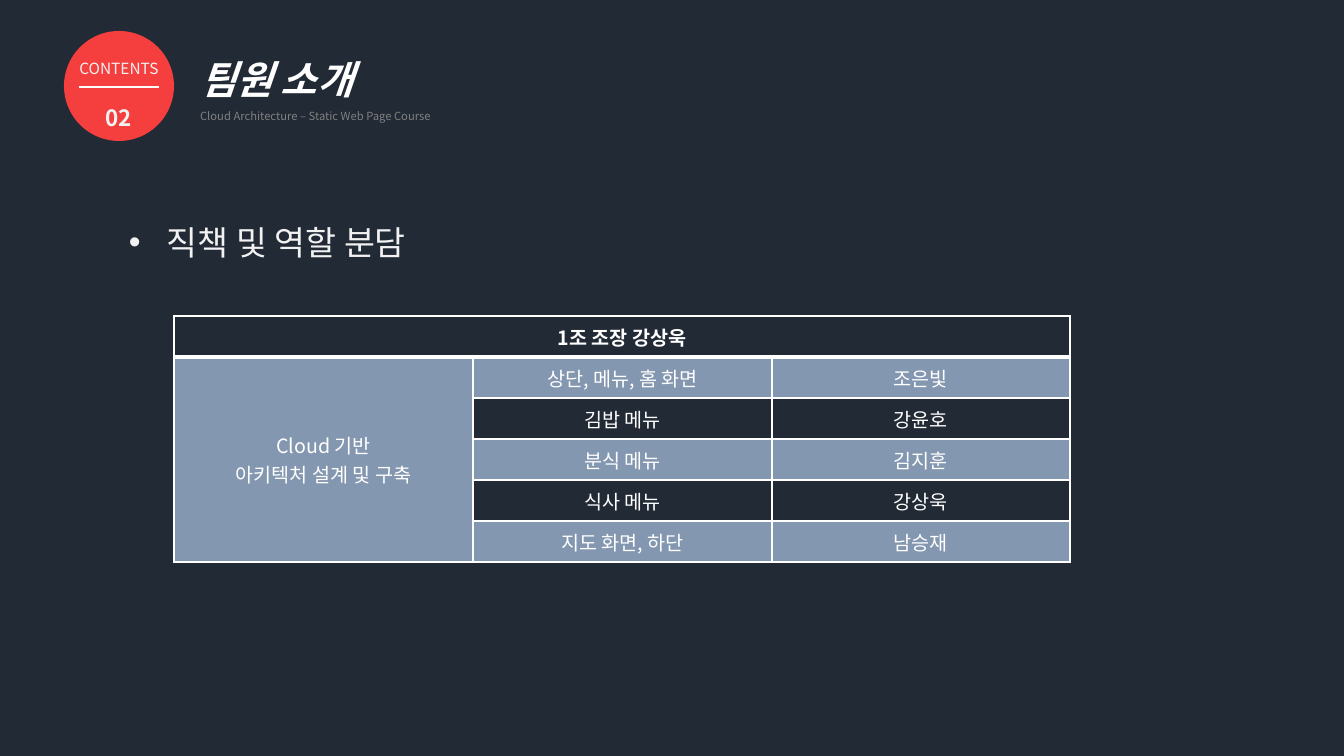
from dataclasses import dataclass

from lxml import etree
from pptx import Presentation
from pptx.dml.color import RGBColor
from pptx.enum.shapes import MSO_CONNECTOR, MSO_SHAPE
from pptx.enum.text import MSO_ANCHOR, MSO_AUTO_SIZE, PP_ALIGN
from pptx.oxml.ns import qn
from pptx.util import Pt

LEFT, CENTER = PP_ALIGN.LEFT, PP_ALIGN.CENTER
TOP, MIDDLE = MSO_ANCHOR.TOP, MSO_ANCHOR.MIDDLE
GROW = MSO_AUTO_SIZE.SHAPE_TO_FIT_TEXT
OVAL, STRAIGHT = MSO_SHAPE.OVAL, MSO_CONNECTOR.STRAIGHT
TITLE_ONLY = 5
EMU_PER_PIXEL = 914400 / 100.8


@dataclass(frozen=True)
class Theme:
    """Colours, font and type sizes of the deck."""
    font: str = "Noto Sans CJK KR"
    dark: str = "222A35"
    band: str = "8497B0"
    accent: str = "F53F3E"
    white: str = "FFFFFF"
    soft: str = "F2F2F2"
    grey: str = "808080"
    title: int = 28
    heading: int = 24
    number: int = 16
    cell: int = 14
    label: int = 11
    caption: int = 8


def px(value):
    """Turn pixels into EMU."""
    return round(value * EMU_PER_PIXEL)


def paint(fill, color):
    """Give a fill one solid colour."""
    fill.solid()
    fill.fore_color.rgb = RGBColor.from_string(color)


class SlideBuilder:
    """Holds the theme and the current slide."""

    def __init__(self, page, theme):
        """Set the slide and its background."""
        self.page, self.theme = page, theme
        paint(page.background.fill, theme.dark)

    def add_lines(self, frame, lines, align=LEFT, spacing=None):
        """Add lines of (text, size, colour, bold, italic) as paragraphs."""
        for index, (text, size, color, bold, italic) in enumerate(lines):
            para = frame.add_paragraph() if index else frame.paragraphs[0]
            para.alignment = align
            para.line_spacing = spacing
            span = para.add_run()
            span.text = text
            font = span.font
            font.name, font.size = self.theme.font, Pt(size)
            font.bold, font.italic = bold, italic
            font.color.rgb = RGBColor.from_string(color)
            east_asian = etree.SubElement(span._r.get_or_add_rPr(), qn("a:ea"))
            east_asian.set("typeface", self.theme.font)

    def title(self, left, top, width, height, lines):
        """Place and fill the title placeholder."""
        box = self.page.shapes.title
        box.left, box.top, box.width, box.height = map(px, (left, top, width, height))
        frame = box.text_frame
        frame.word_wrap, frame.auto_size = True, GROW
        frame.vertical_anchor = TOP
        self.add_lines(frame, lines, spacing=1.5)

    def badge(self, left, top, size, rule, lines):
        """Draw a disc with text and a rule (start x, end x, y), grouped."""
        group = self.page.shapes.add_group_shape()
        disc = group.shapes.add_shape(OVAL, px(left), px(top), px(size), px(size))
        disc.shadow.inherit = False
        paint(disc.fill, self.theme.accent)
        disc.line.fill.background()
        frame = disc.text_frame
        frame.word_wrap, frame.vertical_anchor = False, MIDDLE
        self.add_lines(frame, lines, CENTER, 2.0)
        start, end, level = map(px, rule)
        line = group.shapes.add_connector(STRAIGHT, start, level, end, level)
        line.line.width = Pt(1.25)
        paint(line.line.fill, self.theme.white)
        etree.SubElement(line._element.spPr, qn("a:effectLst"))

    def bullet(self, left, top, width, height, indent, line):
        """Add a text box with one bulleted line."""
        box = self.page.shapes.add_textbox(px(left), px(top), px(width), px(height))
        frame = box.text_frame
        frame.word_wrap, frame.auto_size = True, GROW
        self.add_lines(frame, [line], spacing=1.5)
        properties = frame.paragraphs[0]._p.get_or_add_pPr()
        properties.set("marL", str(px(indent)))
        properties.set("indent", str(-px(indent)))
        etree.SubElement(properties, qn("a:buFont")).set("typeface", "Arial")
        etree.SubElement(properties, qn("a:buChar")).set("char", "•")

    def borders(self, cell, **widths):
        """Set white cell borders from side letters and point widths."""
        properties = cell._tc.get_or_add_tcPr()
        for index, side in enumerate("LRTB"):
            edge = etree.Element(qn(f"a:ln{side}"), w=str(int(Pt(widths.get(side, 1)))))
            solid = etree.SubElement(edge, qn("a:solidFill"))
            etree.SubElement(solid, qn("a:srgbClr")).set("val", self.theme.white)
            properties.insert(index, edge)

    def role_table(self, left, top, widths, row_height, header, duty, roles):
        """Add a table with a header, one tall duty cell and banded roles."""
        theme, count = self.theme, len(roles) + 1
        table = self.page.shapes.add_table(
            count, len(widths), px(left), px(top),
            px(sum(widths)), px(row_height * count)).table
        table.first_row = table.horz_banding = False
        for column, width in zip(table.columns, widths):
            column.width = px(width)
        texts = [[[header], [], []]]
        texts += [[[], [role], [member]] for role, member in roles]
        texts[1][0] = duty
        for number, row in enumerate(texts):
            table.rows[number].height = px(row_height)
            for column, lines in enumerate(row):
                cell = table.cell(number, column)
                banded = number > 0 and (column == 0 or number % 2)
                paint(cell.fill, theme.band if banded else theme.dark)
                cell.vertical_anchor = MIDDLE
                self.borders(cell, T=3 if number == 1 else 1, B=1 if number else 3)
                self.add_lines(cell.text_frame, [
                    (text, theme.cell, theme.white, number == 0, False)
                    for text in lines], CENTER)
        table.cell(0, 0).merge(table.cell(0, len(widths) - 1))
        table.cell(1, 0).merge(table.cell(count - 1, 0))


def main():
    """Build and save the team slide."""
    theme = Theme()
    deck = Presentation()
    deck.slide_width, deck.slide_height = px(1344), px(756)
    page = deck.slides.add_slide(deck.slide_layouts[TITLE_ONLY])
    slide = SlideBuilder(page, theme)
    slide.badge(64, 31, 110, (79, 159, 87), [
        ("CONTENTS", theme.label, theme.soft, False, False),
        ("02", theme.number, theme.soft, True, False)])
    slide.title(190, 27, 1059, 102, [
        ("팀원 소개", theme.title, theme.white, True, True),
        ("Cloud Architecture – Static Web Page Course",
         theme.caption, theme.grey, False, False)])
    slide.role_table(
        174, 316, (299, 299, 298), 41, "1조 조장 강상욱",
        ["Cloud 기반", "아키텍처 설계 및 구축"],
        [("상단, 메뉴, 홈 화면", "조은빛"), ("김밥 메뉴", "강윤호"),
         ("분식 메뉴", "김지훈"), ("식사 메뉴", "강상욱"),
         ("지도 화면, 하단", "남승재")])
    slide.bullet(119, 197, 1088, 63, 38,
                 ("직책 및 역할 분담", theme.heading, theme.soft, False, False))
    deck.save("out.pptx")


main()
